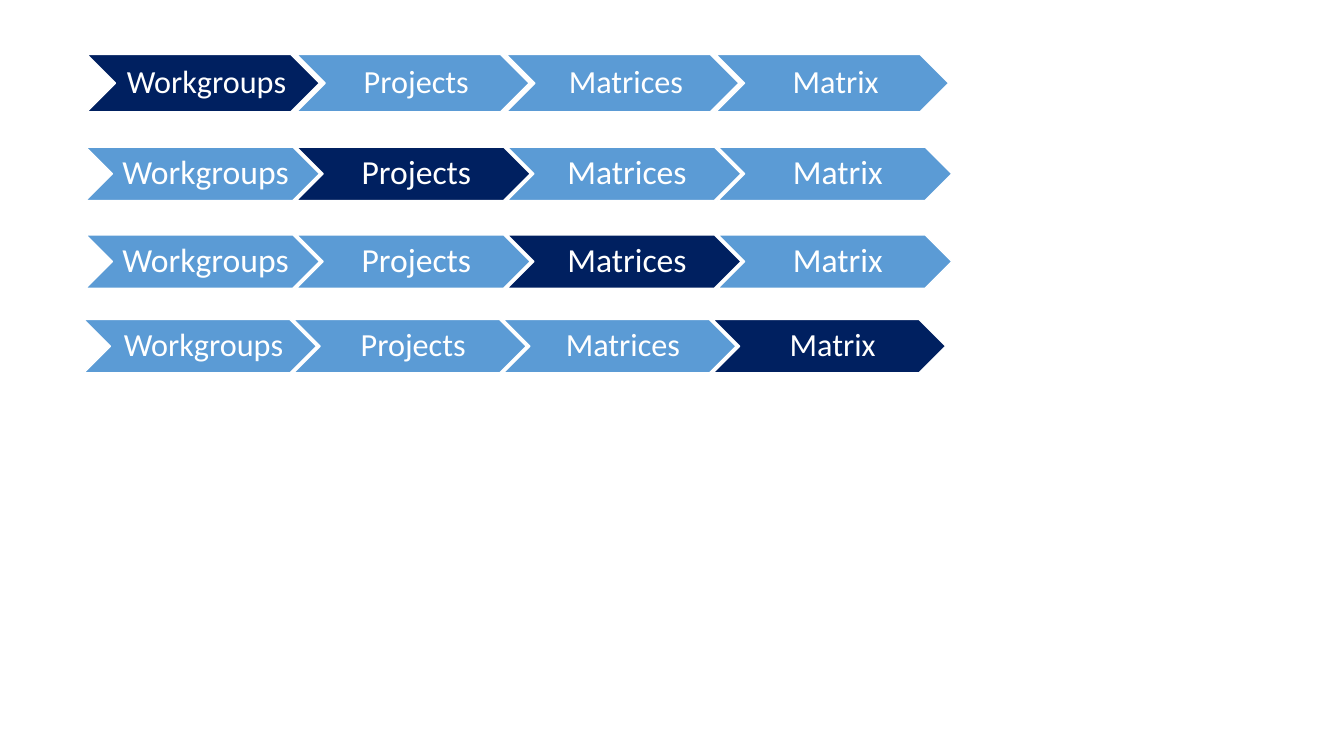
from pptx import Presentation
from pptx import util as u
from pptx.dml.color import RGBColor
from pptx.enum import shapes, text

STAGES = ["Workgroups", "Projects", "Matrices", "Matrix"]
NAVY, BLUE, WHITE = "002060", "5B9BD5", "FFFFFF"

# left, top, chevron width, height, step, text size, text inset
ROWS = [
    (0.86, 0.54, 2.31, 0.57, 2.08, 23, 0.03),
    (0.85, 1.46, 2.32, 0.53, 2.09, 24, 0.04),
    (0.85, 2.33, 2.32, 0.53, 2.09, 24, 0.04),
    (0.83, 3.17, 2.31, 0.53, 2.08, 23, 0.03),
]


def color(value):
    return RGBColor.from_string(value)


def add_label(sp, label, size, inset):
    tf = sp.text_frame
    tf.word_wrap = False
    tf.vertical_anchor = text.MSO_ANCHOR.MIDDLE
    tf.margin_left = u.Inches(0.1)
    tf.margin_top = tf.margin_right = tf.margin_bottom = u.Inches(inset)
    p = tf.paragraphs[0]
    p.alignment = text.PP_ALIGN.CENTER
    p.line_spacing = 0.9
    r = p.add_run()
    r.text = label
    r.font.name = "Calibri"
    r.font.size = u.Pt(size)
    r.font.color.rgb = color(WHITE)


def add_chevron(parent, left, top, width, height, fill):
    sp = parent.shapes.add_shape(
        shapes.MSO_SHAPE.CHEVRON,
        u.Inches(left), u.Inches(top), u.Inches(width), u.Inches(height))
    sp.shadow.inherit = False
    sp.fill.solid()
    sp.fill.fore_color.rgb = color(fill)
    sp.line.color.rgb = color(WHITE)
    sp.line.width = u.Pt(1)
    return sp


def add_stage_row(s, row, active):
    """Add one grouped row of stages, with the active stage in navy."""
    left, top, width, height, step, size, inset = row
    group = s.shapes.add_group_shape()
    for i, stage in enumerate(STAGES):
        fill = NAVY if i == active else BLUE
        sp = add_chevron(group, left + i * step, top, width, height, fill)
        add_label(sp, stage, size, inset)


def main():
    prs = Presentation()
    prs.slide_width, prs.slide_height = u.Inches(13.33), u.Inches(7.5)
    s = prs.slides.add_slide(prs.slide_layouts[6])
    for active, row in enumerate(ROWS):
        add_stage_row(s, row, active)
    prs.save("out.pptx")


if __name__ == "__main__":
    main()
